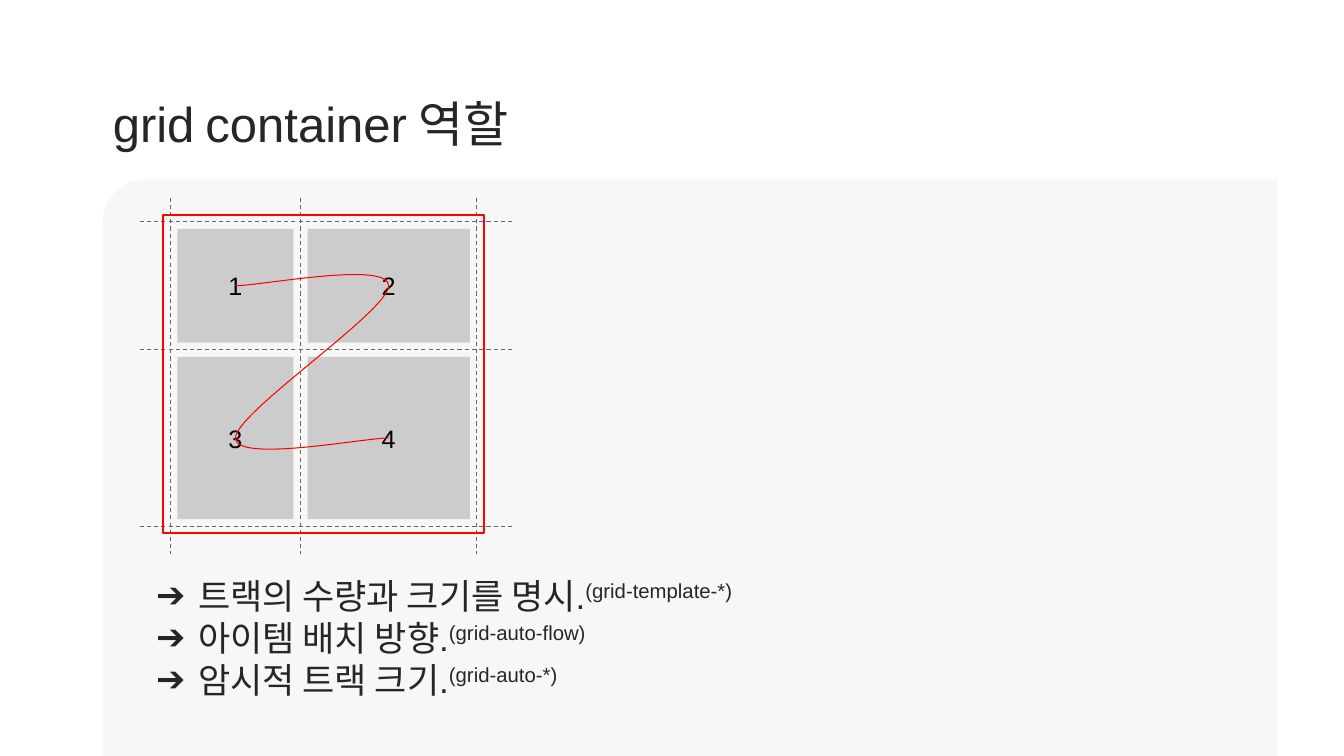
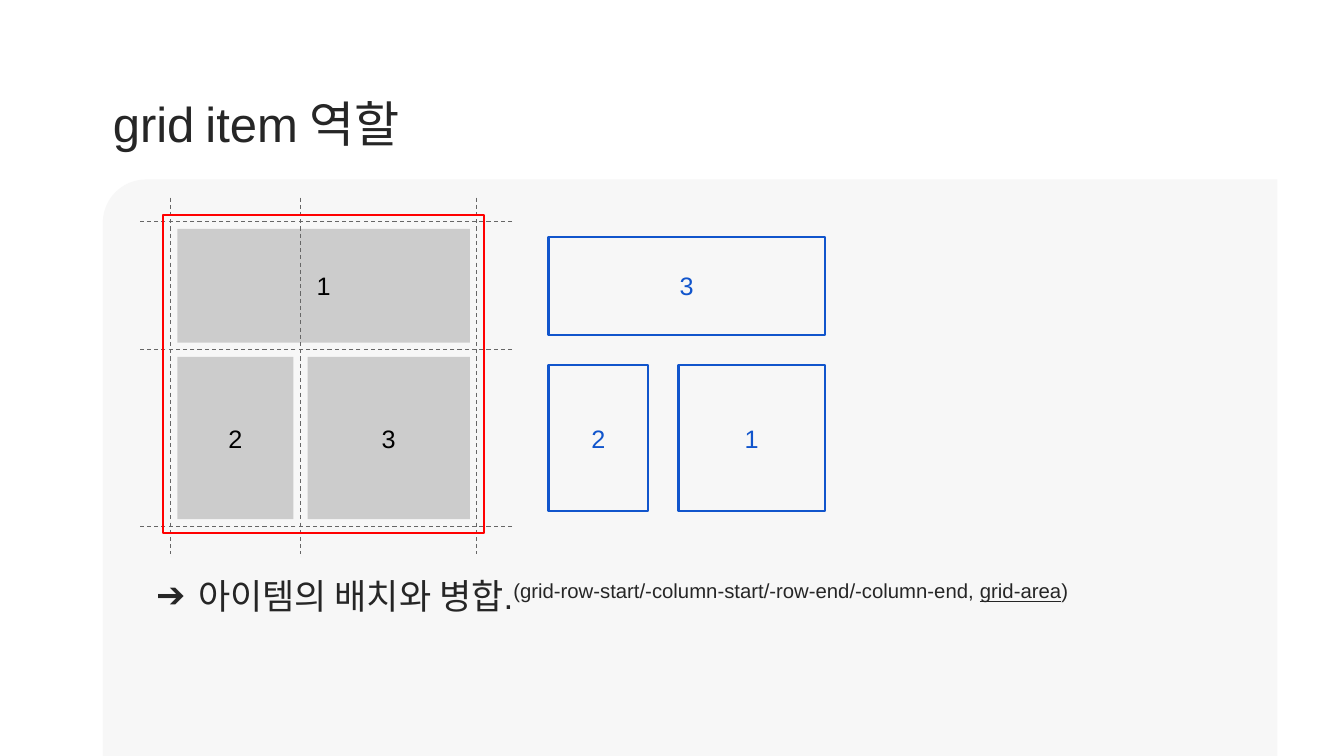
from itertools import pairwise

from lxml.etree import SubElement
from pptx import Presentation
from pptx.dml.color import RGBColor
from pptx.enum.dml import MSO_LINE
from pptx.enum.shapes import MSO_CONNECTOR as Connector, MSO_SHAPE as Preset
from pptx.enum.text import MSO_ANCHOR as Anchor, PP_ALIGN as Align
from pptx.oxml.ns import qn
from pptx.util import Inches, Pt

FONT = "Arial"
INK = "262626"
PANEL = "F7F7F7"
CELL = "CCCCCC"
TRACK = "666666"
RED = "FF0000"
BLUE = "1155CC"
BLACK = "000000"

COLUMNS = (1.69, 2.98, 4.73)
ROWS = (2.2, 3.47, 5.22)
GAP = 0.07
AREA_GAP = 0.15
AREA_SHIFT = 3.6
HANDLE = 0.25


def color(hex_value):
    return RGBColor.from_string(hex_value)


def style_font(font, size, hex_value):
    font.name = FONT
    font.size = Pt(size)
    font.color.rgb = color(hex_value)


def add_box(slide, preset, box, fill=None, line=None, width=1.5):
    shape = slide.shapes.add_shape(preset, *map(Inches, box))
    shape.shadow.inherit = False
    if fill:
        shape.fill.solid()
        shape.fill.fore_color.rgb = color(fill)
    else:
        shape.fill.background()
    if line:
        shape.line.color.rgb = color(line)
        shape.line.width = Pt(width)
    else:
        shape.line.fill.background()
    return shape


def add_text_frame(slide, box, anchor):
    frame = slide.shapes.add_textbox(*map(Inches, box)).text_frame
    frame.word_wrap = True
    frame.vertical_anchor = anchor
    return frame


def add_title(slide, words):
    title = add_text_frame(slide, (1.02, 0.88, 12.31, 0.67), Anchor.MIDDLE).paragraphs[0]
    style_font(title.font, 35, INK)
    for index, word in enumerate(words):
        if index:
            add_run(title, " ", 28)
        add_run(title, word, 35)


def add_run(paragraph, text, size):
    run = paragraph.add_run()
    run.text = text
    style_font(run.font, size, INK)
    return run


def add_arrow_bullet(paragraph):
    properties = paragraph._p.get_or_add_pPr()
    properties.set("marL", str(Inches(0.5)))
    properties.set("indent", str(Inches(-0.42)))
    bullet_color = SubElement(properties, qn("a:buClr"))
    SubElement(bullet_color, qn("a:srgbClr"), val=INK)
    SubElement(properties, qn("a:buFont"), typeface=FONT)
    SubElement(properties, qn("a:buChar"), char="➔")


def add_roles(slide, roles):
    frame = add_text_frame(slide, (1.37, 5.65, 11.29, 1.3), Anchor.TOP)
    for index, (role, *properties) in enumerate(roles):
        paragraph = frame.add_paragraph() if index else frame.paragraphs[0]
        add_arrow_bullet(paragraph)
        style_font(paragraph.font, 25, INK)
        add_run(paragraph, role, 25)
        for text, underlined in properties:
            run = add_run(paragraph, text, 25)
            run.font.underline = underlined or None
            run.font._element.set("baseline", "30000")


def area_box(area, gap, shift=0):
    left, top, right, bottom = area
    x, y = COLUMNS[left] + gap, ROWS[top] + gap
    return (x + shift, y, COLUMNS[right] - gap - x, ROWS[bottom] - gap - y)


def add_item(slide, box, label, text_color, **look):
    item = add_box(slide, Preset.RECTANGLE, box, **look)
    frame = item.text_frame
    frame.vertical_anchor = Anchor.MIDDLE
    frame.margin_top = frame.margin_bottom = Inches(0.1)
    paragraph = frame.paragraphs[0]
    paragraph.alignment = Align.CENTER
    paragraph.text = label
    style_font(paragraph.font, 18, text_color)


def add_track_line(slide, *ends):
    track = slide.shapes.add_connector(Connector.STRAIGHT, *map(Inches, ends))
    track.line.color.rgb = color(TRACK)
    track.line.width = Pt(0.75)
    track.line.dash_style = MSO_LINE.DASH
    SubElement(track.element.spPr, qn("a:effectLst"))


def add_grid(slide, areas):
    for number, area in enumerate(areas, 1):
        add_item(slide, area_box(area, GAP), str(number), BLACK, fill=CELL)
    for x in COLUMNS:
        add_track_line(slide, x, 1.96, x, 5.5)
    for y in ROWS:
        add_track_line(slide, 5.08, y, 1.37, y)
    add_box(slide, Preset.RECTANGLE, area_box((0, 0, 2, 2), -GAP), line=RED)


def add_flow_curve(slide):
    (left, right), (top, bottom) = (
        [(start + end) / 2 for start, end in pairwise(lines)] for lines in (COLUMNS, ROWS)
    )
    start, *controls = [
        (left, top), (left + HANDLE, top), (right, top - HANDLE),
        (right, top), (right, top + HANDLE), (left, bottom - HANDLE),
        (left, bottom), (left, bottom + HANDLE), (right - HANDLE, bottom),
        (right, bottom),
    ]
    builder = slide.shapes.build_freeform(*map(Inches, start))
    builder.add_line_segments([tuple(map(Inches, point)) for point in controls], close=False)
    curve = builder.convert_to_shape()
    segments = curve.element.findall(".//" + qn("a:lnTo"))
    outline = segments[0].getparent()
    for first in range(0, len(segments), 3):
        bezier = SubElement(outline, qn("a:cubicBezTo"))
        for segment in segments[first:first + 3]:
            bezier.append(segment[0])
            outline.remove(segment)
    curve.shadow.inherit = False
    curve.fill.background()
    curve.line.color.rgb = color(RED)
    curve.line.width = Pt(0.75)


def add_base_slide(deck, title_words, roles):
    slide = deck.slides.add_slide(deck.slide_layouts[6])
    panel = add_box(slide, Preset.ROUND_1_RECTANGLE, (1.02, 1.78, 11.65, 5.72), fill=PANEL)
    panel.adjustments[0] = 0.075
    panel.element.spPr.find(qn("a:xfrm")).set("flipH", "1")
    add_title(slide, title_words)
    add_roles(slide, roles)
    return slide


def add_container_slide(deck):
    slide = add_base_slide(deck, ("grid", "container", "역할"), [
        ("트랙의 수량과 크기를 명시.", ("(grid-template-*)", False)),
        ("아이템 배치 방향.", ("(grid-auto-flow)", False)),
        ("암시적 트랙 크기.", ("(grid-auto-*)", False)),
    ])
    add_grid(slide, [(x, y, x + 1, y + 1) for y in range(2) for x in range(2)])
    add_flow_curve(slide)


def add_item_slide(deck):
    slide = add_base_slide(deck, ("grid", "item", "역할"), [
        ("아이템의 배치와 병합.",
         ("(grid-row-start/-column-start/-row-end/-column-end, ", False),
         ("grid-area", True),
         (")", False)),
    ])
    areas = [(0, 0, 2, 1), (0, 1, 1, 2), (1, 1, 2, 2)]
    add_grid(slide, areas)
    for label, area in zip("321", areas):
        add_item(slide, area_box(area, AREA_GAP, AREA_SHIFT), label, BLUE, line=BLUE)


def main():
    deck = Presentation()
    deck.slide_width = Inches(13.33)
    deck.slide_height = Inches(7.5)
    add_container_slide(deck)
    add_item_slide(deck)
    deck.save("out.pptx")


if __name__ == "__main__":
    main()
